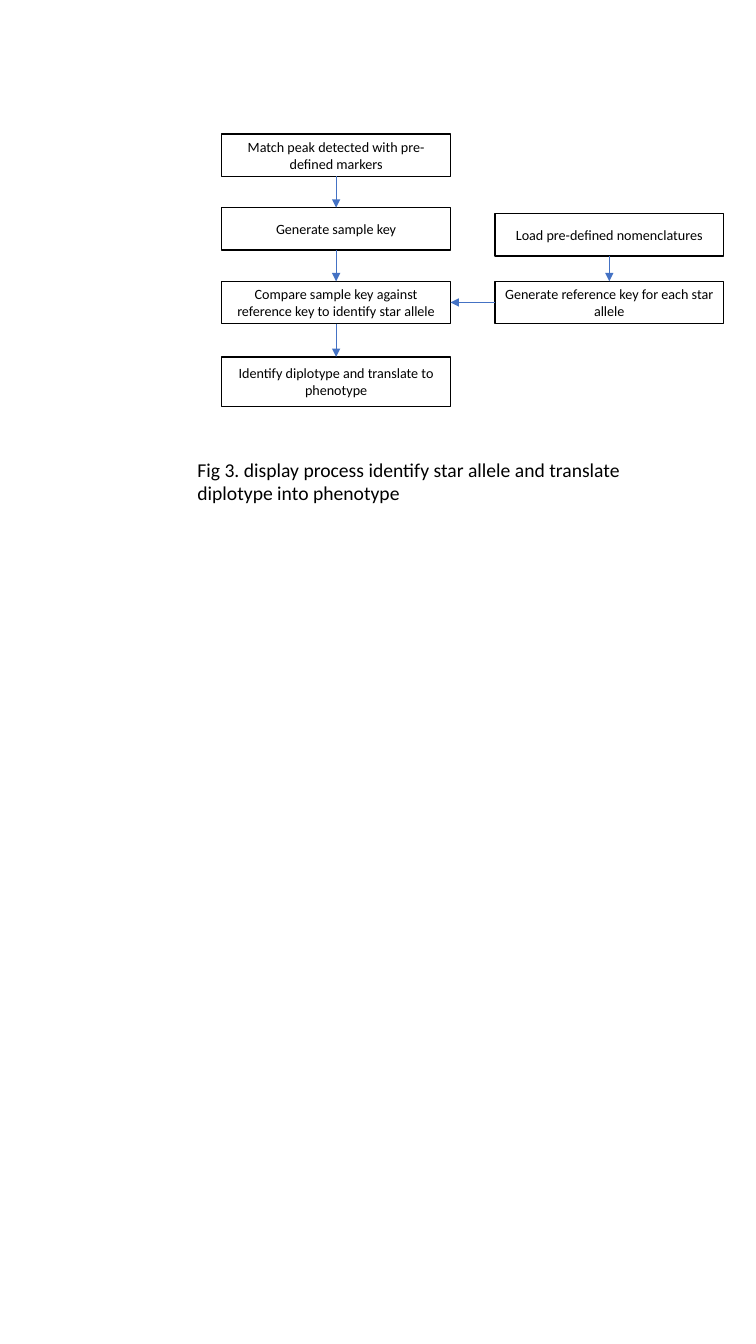
from lxml import etree
from pptx import Presentation
from pptx.dml.color import RGBColor
from pptx.enum.shapes import MSO_CONNECTOR, MSO_SHAPE
from pptx.enum.text import MSO_ANCHOR, MSO_AUTO_SIZE, PP_ALIGN
from pptx.oxml.ns import qn
from pptx.util import Emu, Pt

SCALE = 9144  # EMU per px, 100 px to the inch
RECT, LINE = MSO_SHAPE.RECTANGLE, MSO_CONNECTOR.STRAIGHT
MIDDLE, CENTER, LEFT = MSO_ANCHOR.MIDDLE, PP_ALIGN.CENTER, PP_ALIGN.LEFT
GROW = MSO_AUTO_SIZE.SHAPE_TO_FIT_TEXT
TOP, WEST, BOTTOM, EAST = range(4)
COLORS = {"ink": "000000", "paper": "FFFFFF", "arrow": "4472C4"}

BOX_W, BOX_H = 227, 42
SAMPLE_X, REF_X = 220, 491
SAMPLE_STEPS = [
    ("Match peak detected with pre-defined markers", 133, BOX_H),
    ("Generate sample key", 206, BOX_H),
    ("Compare sample key against reference key to identify star allele", 279, BOX_H),
    ("Identify diplotype and translate to phenotype", 354, 49),
]
REF_STEPS = [
    ("Load pre-defined nomenclatures", 212, BOX_H),
    ("Generate reference key for each star allele", 279, BOX_H),
]
CAPTION = ("Fig 3. display process identify star allele "
           "and translate diplotype into phenotype")


def px(*sizes):
    return [Emu(size * SCALE) for size in sizes]


def color(name):
    return RGBColor.from_string(COLORS[name])


class Chart:
    """Draws flow chart parts on one slide in a shared style."""

    font = "Calibri"

    def __init__(self, slide):
        self.shapes = slide.shapes

    def label(self, shape, text, size, align):
        frame = shape.text_frame
        frame.word_wrap = True
        frame.text = text
        para = frame.paragraphs[0]
        para.alignment = align
        font = para.runs[0].font
        font.name, font.size = self.font, Pt(size)
        font.color.rgb = color("ink")

    def box(self, text, x, y, h):
        shape = self.shapes.add_shape(RECT, *px(x, y, BOX_W, h))
        shape.shadow.inherit = False
        shape.fill.solid()
        shape.fill.fore_color.rgb = color("paper")
        shape.line.color.rgb = color("ink")
        shape.line.width = Pt(1)
        shape.text_frame.vertical_anchor = MIDDLE
        self.label(shape, text, 10.1, CENTER)
        return shape

    def arrow(self, start, end, out=BOTTOM, into=TOP):
        link = self.shapes.add_connector(LINE, 0, 0, 0, 0)
        link.begin_connect(start, out)
        link.end_connect(end, into)
        link.line.color.rgb = color("arrow")
        link.line.width = Pt(0.5)
        props = link._element.spPr
        etree.SubElement(props.find(qn("a:ln")), qn("a:tailEnd"), type="triangle")
        etree.SubElement(props, qn("a:effectLst"))

    def column(self, x, steps):
        """Stack the steps at x, joined from top to bottom."""
        boxes = [self.box(text, x, y, h) for text, y, h in steps]
        for start, end in zip(boxes, boxes[1:]):
            self.arrow(start, end)
        return boxes

    def caption(self, text, x, y, w, h):
        note = self.shapes.add_textbox(*px(x, y, w, h))
        self.label(note, text, 14, LEFT)
        note.text_frame.auto_size = GROW


def main():
    deck = Presentation()
    deck.slide_width, deck.slide_height = px(750, 1333)
    chart = Chart(deck.slides.add_slide(deck.slide_layouts[6]))
    sample = chart.column(SAMPLE_X, SAMPLE_STEPS)
    ref = chart.column(REF_X, REF_STEPS)
    chart.arrow(ref[1], sample[2], WEST, EAST)
    chart.caption(CAPTION, 186, 449, 507, 57)
    deck.save("out.pptx")


if __name__ == "__main__":
    main()
